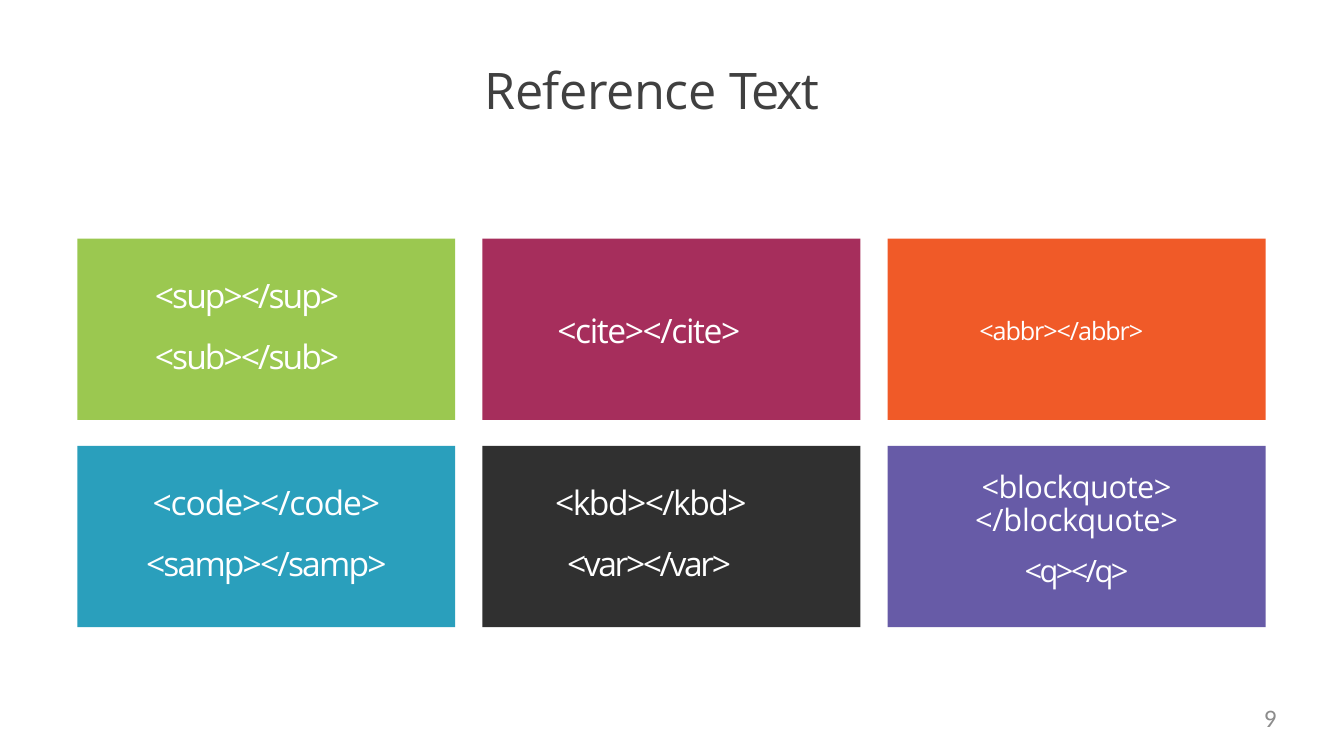
from pptx import Presentation
from pptx.dml.color import RGBColor
from pptx.enum.shapes import MSO_SHAPE
from pptx.enum.text import MSO_ANCHOR, MSO_AUTO_SIZE, PP_ALIGN
from pptx.util import Pt

TITLE = [("Reference ", -0.3), ("Text", -1.5)]
PAGE_NUMBER = "9"

# Cards in reading order: fill, top inset, font size, lines.
# A line is: text, letter spacing, left indent (None = centred), space before, line spacing
CARDS = [
    ("9BC850", 26, 24, [("<sup></sup>", -1.4, 55.5, 0, None),
                        ("<sub></sub>", -1.4, 55.5, 14.4, None)]),
    ("A62E5C", 51, 24, [("<cite></cite>", -1, 53.5, 0, None)]),
    ("F05A28", 54.5, 18, [("<abbr></abbr>", -0.8, 65.5, 0, None)]),
    ("2A9FBC", 26, 24, [("<code></code>", -0.8, None, 0, None),
                        ("<samp></samp>", -1.3, None, 14.4, None)]),
    ("303030", 26, 24, [("<kbd></kbd>", -1.1, 52, 0, None),
                        ("<var></var>", -1.7, 60.5, 14.4, None)]),
    ("675BA7", 18, 22, [("<blockquote>", -0.3, None, 0, 23.8),
                        ("</blockquote>", -0.2, None, 0, 23.8),
                        ("<q></q>", -1.8, None, 10, None)]),
]

# Card grid
COLUMNS = 3
LEFT, TOP = 55.2, 170.5
CARD_WIDTH, CARD_HEIGHT = 270, 129.4
COLUMN_STEP, ROW_STEP = 289.4, 148


def color(value):
    return RGBColor.from_string(value)


def set_frame(frame, top_inset=0, left_inset=0):
    frame.word_wrap = True
    frame.auto_size = MSO_AUTO_SIZE.NONE
    frame.vertical_anchor = MSO_ANCHOR.TOP
    frame.margin_left, frame.margin_top = Pt(left_inset), Pt(top_inset)
    frame.margin_right = frame.margin_bottom = 0


def set_font(paragraph, name, size, value):
    paragraph.font.name = name
    paragraph.font.size = Pt(size)
    paragraph.font.color.rgb = color(value)


def add_run(paragraph, text, spacing):
    run = paragraph.add_run()
    run.text = text
    run._r.get_or_add_rPr().set("spc", str(round(spacing * 100)))


def add_card(slide, index, fill, top_inset, size, lines):
    row, column = divmod(index, COLUMNS)
    card = slide.shapes.add_shape(
        MSO_SHAPE.RECTANGLE, Pt(LEFT + column * COLUMN_STEP), Pt(TOP + row * ROW_STEP),
        Pt(CARD_WIDTH), Pt(CARD_HEIGHT))
    card.shadow.inherit = False
    card.fill.solid()
    card.fill.fore_color.rgb = color(fill)
    card.line.fill.background()
    frame = card.text_frame
    set_frame(frame, top_inset)
    for number, (text, spacing, indent, before, line_spacing) in enumerate(lines):
        paragraph = frame.add_paragraph() if number else frame.paragraphs[0]
        paragraph.alignment = PP_ALIGN.CENTER if indent is None else PP_ALIGN.LEFT
        if indent is not None:
            paragraph._p.get_or_add_pPr().set("marL", str(Pt(indent)))
        paragraph.space_before = Pt(before)
        if line_spacing:
            paragraph.line_spacing = Pt(line_spacing)
        set_font(paragraph, "Open Sans", size, "FFFFFF")
        add_run(paragraph, text, spacing)


presentation = Presentation()
presentation.slide_width, presentation.slide_height = Pt(960), Pt(540)
slide = presentation.slides.add_slide(presentation.slide_layouts[5])

# Title
title = slide.shapes.title
title.left, title.top, title.width, title.height = Pt(345), Pt(41), Pt(263.5), Pt(45.4)
set_frame(title.text_frame, 1, 1)
heading = title.text_frame.paragraphs[0]
heading.alignment = PP_ALIGN.LEFT
heading.space_before = Pt(0)
set_font(heading, "Open Sans", 36, "404040")
for text, spacing in TITLE:
    add_run(heading, text, spacing)

# Cards
for index, card in enumerate(CARDS):
    add_card(slide, index, *card)

# Page number
number_box = slide.shapes.add_textbox(Pt(691), Pt(502), Pt(221), Pt(27))
set_frame(number_box.text_frame)
number = number_box.text_frame.paragraphs[0]
number.text = PAGE_NUMBER
number.alignment = PP_ALIGN.RIGHT
set_font(number, "Calibri", 18, "8C8C8C")

presentation.save("out.pptx")
